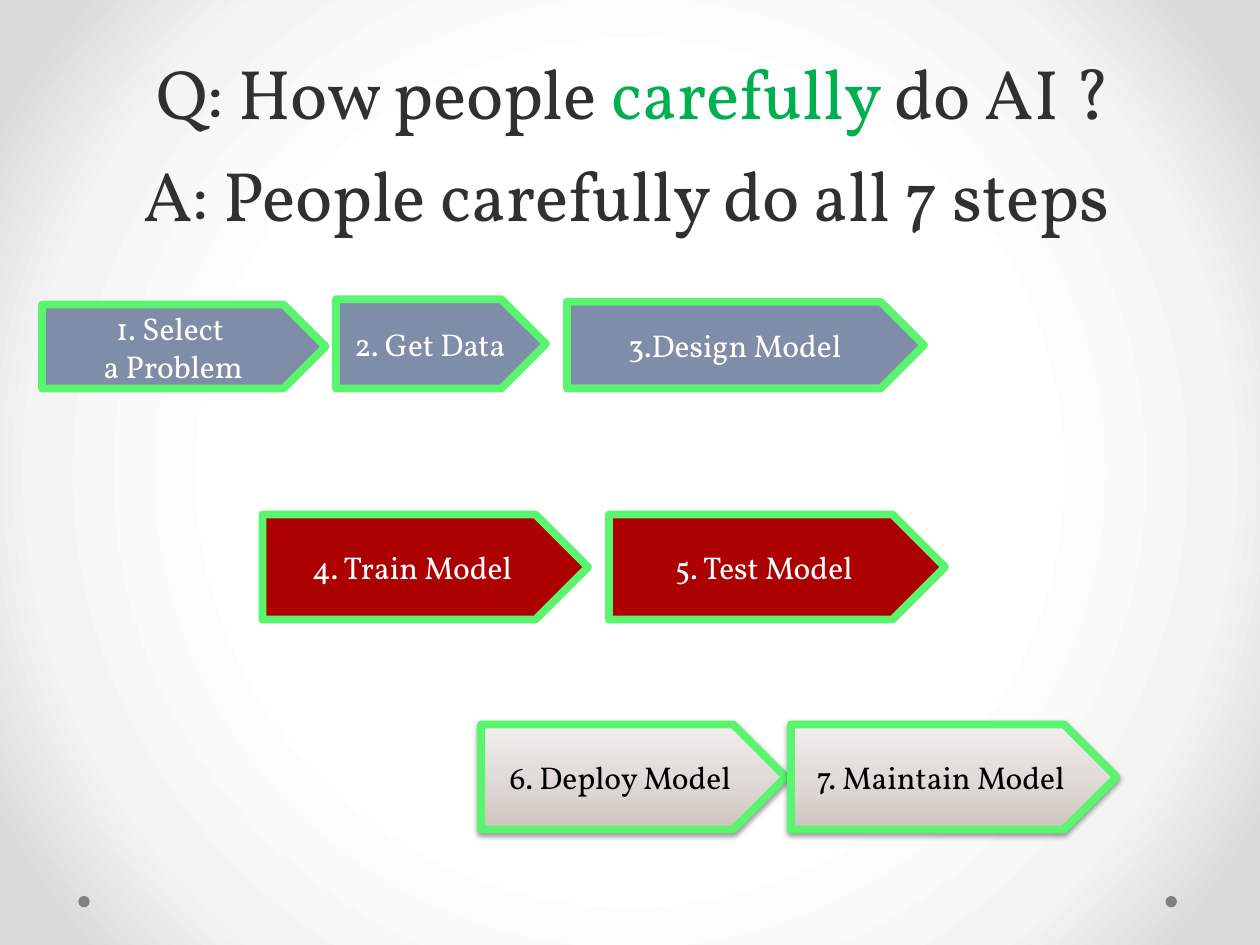
"""Build a slide showing the seven steps of an AI project as three rows of arrows."""
from lxml import etree
from pptx import Presentation
from pptx.dml.color import RGBColor
from pptx.enum import shapes, text
from pptx.util import Pt

COLORS = {"ink": "303030", "accent": "00B050", "outline": "5AF56E", "plan": "808DA9",
          "build": "AD0101", "white": "FFFFFF", "black": "000000", "dot": "808080"}
FONT = "Vollkorn"
NS = "http://schemas.openxmlformats.org/drawingml/2006/main"
PNS = "http://schemas.openxmlformats.org/presentationml/2006/main"


def gradient_xml(stops, direction):
    marks = "".join(f'<a:gs pos="{pos * 1000}"><a:srgbClr val="{color}"/></a:gs>' for pos, color in stops)
    return f'<a:gradFill xmlns:a="{NS}" rotWithShape="1"><a:gsLst>{marks}</a:gsLst>{direction}</a:gradFill>'


def style_run(run, size, color):
    run.font.name = FONT
    run.font.size = Pt(size)
    run.font.color.rgb = RGBColor.from_string(COLORS[color])


deck = Presentation()
deck.slide_width, deck.slide_height = Pt(720), Pt(540)
slide = deck.slides.add_slide(deck.slide_layouts[5])

glow = gradient_xml(
    [(50, "FFFFFF"), (76, "F4F4F4"), (92, "DADADA")],
    '<a:path path="circle"><a:fillToRect l="50000" t="50000" r="50000" b="50000"/></a:path>')
slide.element.cSld.insert(0, etree.fromstring(
    f'<p:bg xmlns:p="{PNS}"><p:bgPr>{glow}<a:effectLst xmlns:a="{NS}"/></p:bgPr></p:bg>'))

for dot_left in (666, 44.75):
    dot = slide.shapes.add_shape(shapes.MSO_SHAPE.OVAL, Pt(dot_left), Pt(512), Pt(6.5), Pt(6.5))
    dot.shadow.inherit = False
    dot.fill.solid()
    dot.fill.fore_color.rgb = RGBColor.from_string(COLORS["dot"])
    dot.line.fill.background()

title = slide.shapes.title
title.left, title.top, title.width, title.height = Pt(38), Pt(12), Pt(648), Pt(126)
title.text_frame.auto_size = text.MSO_AUTO_SIZE.NONE
title.text_frame.vertical_anchor = text.MSO_ANCHOR.BOTTOM
question = title.text_frame.paragraphs[0]
question.text = "Q: How people "
question.alignment = text.PP_ALIGN.CENTER
question.line_spacing = Pt(58)
question.add_run().text = "carefully "
question.add_run().text = "do AI ?"
question.add_line_break()
question.add_run().text = "A: People carefully do all 7 steps "
for run, color in zip(question.runs, ("ink", "accent", "ink", "ink")):
    style_run(run, 40, color)

ROWS = [
    (222, "plan", "white", [("1. Select \na Problem", 24, 162, 48), ("2. Get Data", 192, 120, 51),
                            ("3.Design Model", 324, 204, 49.5)]),
    (354, "build", "white", [("4. Train Model", 150, 186, 60), ("5. Test Model", 348, 192, 60)]),
    (474, None, "black", [("6. Deploy Model", 275, 174, 60), ("7. Maintain Model", 452, 186, 60)]),
]
STONE = gradient_xml([(0, "CFC3BD"), (35, "DDD5D1"), (100, "F2EFED")],
                     '<a:lin ang="16200000" scaled="0"/>')
SHADOW = (f'<a:outerShdw xmlns:a="{NS}" blurRad="{Pt(3.1)}" dist="{Pt(1.6)}" dir="5400000" '
          'rotWithShape="0"><a:srgbClr val="000000"><a:alpha val="38000"/></a:srgbClr></a:outerShdw>')

for bottom, fill, ink, steps in ROWS:
    for label, left, width, height in steps:
        step = slide.shapes.add_shape(shapes.MSO_SHAPE.PENTAGON, Pt(left), Pt(bottom - height),
                                      Pt(width), Pt(height))
        step.shadow.inherit = False
        step.line.color.rgb = RGBColor.from_string(COLORS["outline"])
        step.line.width = Pt(4.5)
        properties = step.element.spPr
        etree.SubElement(properties.find(f"{{{NS}}}ln"), f"{{{NS}}}round")
        if fill:
            step.fill.solid()
            step.fill.fore_color.rgb = RGBColor.from_string(COLORS[fill])
        else:
            properties.find(f"{{{NS}}}prstGeom").addnext(etree.fromstring(STONE))
            properties.find(f"{{{NS}}}effectLst").append(etree.fromstring(SHADOW))
        step.text_frame.text = label
        step.text_frame.vertical_anchor = text.MSO_ANCHOR.MIDDLE
        for paragraph in step.text_frame.paragraphs:
            paragraph.alignment = text.PP_ALIGN.CENTER
            style_run(paragraph.runs[0], 18, ink)

deck.save("out.pptx")
